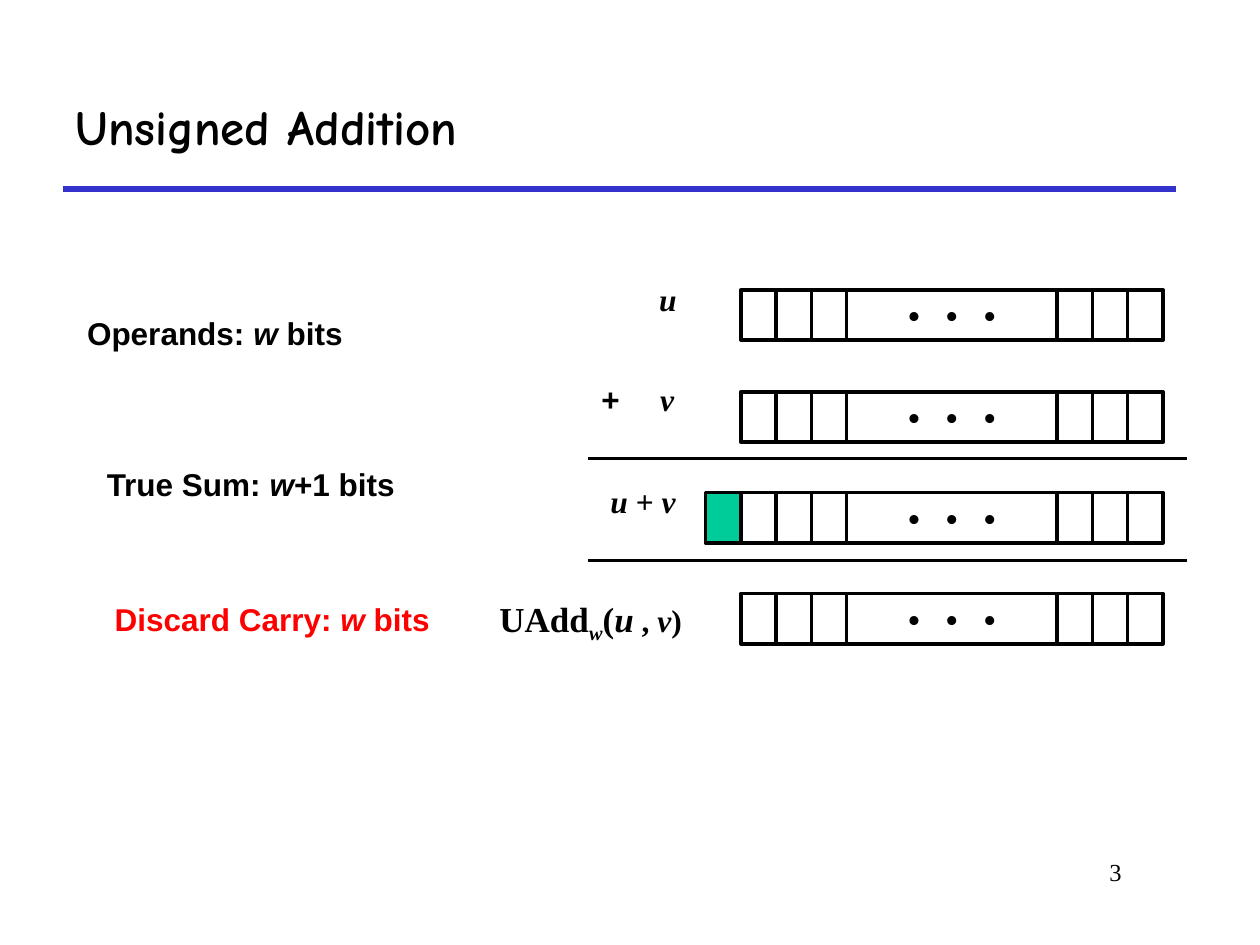
import pptx
import pptx.util
import pptx.dml.color
import pptx.enum.shapes
import pptx.enum.text
import pptx.oxml.ns
from lxml import etree

Inches = pptx.util.Inches
ALIGN = pptx.enum.text.PP_ALIGN
ANCHOR = pptx.enum.text.MSO_ANCHOR
COLORS = {
    "black": "000000",
    "white": "FFFFFF",
    "rule": "3333CC",
    "carry": "00CC99",
    "discard": "FF0000",
}
RGB = {name: pptx.dml.color.RGBColor.from_string(value) for name, value in COLORS.items()}

presentation = pptx.Presentation()
presentation.slide_width = Inches(10)
presentation.slide_height = Inches(7.5)
slide = presentation.slides.add_slide(presentation.slide_layouts[6])


def write_text(shape, runs, font, size, alignment, color="black", bold=True, wrap=False, anchor=ANCHOR.TOP):
    frame = shape.text_frame
    frame.word_wrap = wrap
    frame.vertical_anchor = anchor
    paragraph = frame.paragraphs[0]
    paragraph.alignment = alignment
    for text, changes in runs:
        run = paragraph.add_run()
        run.text = text
        values = {"name": font, "size": pptx.util.Pt(size), "bold": bold, "italic": False} | changes
        for attribute, value in values.items():
            setattr(run.font, attribute, value)
        run.font.color.rgb = RGB[color]
    return paragraph


def add_cell(left, top, width, color="white"):
    cell = slide.shapes.add_shape(
        pptx.enum.shapes.MSO_SHAPE.RECTANGLE, Inches(left), Inches(top), Inches(width), Inches(0.4)
    )
    cell.shadow.inherit = False
    cell.fill.solid()
    cell.fill.fore_color.rgb = RGB[color]
    cell.line.color.rgb = RGB["black"]
    cell.line.width = pptx.util.Pt(2)
    return cell


lines = [
    (0.5, 9.33, 1.5, "rule", 3),
    (4.67, 9.42, 3.64, "black", 2),
    (4.67, 9.42, 4.45, "black", 2),
]
for start, end, height, color, weight in lines:
    line = slide.shapes.add_connector(
        pptx.enum.shapes.MSO_CONNECTOR.STRAIGHT, Inches(start), Inches(height), Inches(end), Inches(height)
    )
    line.line.color.rgb = RGB[color]
    line.line.width = pptx.util.Pt(weight)
    etree.SubElement(line._element.spPr, pptx.oxml.ns.qn("a:effectLst"))

bit_width = 0.28
word_left = 5.88
low_bits_left = 8.39
middle_left = word_left + 3 * bit_width
row_tops = {"u": 2.3, "v": 3.11, "sum": 3.91, "result": 4.71}

for top in row_tops.values():
    for group_left in (word_left, low_bits_left):
        for bit in range(3):
            add_cell(group_left + bit * bit_width, top, bit_width)
    middle = add_cell(middle_left, top, low_bits_left - middle_left)
    write_text(middle, [("• • •", {})], "Courier New", 18, ALIGN.CENTER, anchor=ANCHOR.MIDDLE)
add_cell(word_left - bit_width, row_tops["sum"], bit_width, "carry")

italic = {"italic": True}
small = {"size": pptx.util.Pt(18)}
serif = {"font": "Times New Roman", "size": 18, "alignment": ALIGN.CENTER}
sans = {"font": "Arial", "size": 18, "alignment": ALIGN.CENTER}
labels = [
    (0.5, 0.5, 8.83, 1, [("Unsigned Addition", {})],
     {"font": "Comic Neue", "size": 28, "alignment": ALIGN.LEFT, "wrap": True, "anchor": ANCHOR.MIDDLE}),
    (7.58, 6.75, 1.42, 0.5, [("3", {})],
     {"font": "Times New Roman", "size": 14, "alignment": ALIGN.RIGHT, "bold": False, "wrap": True}),
    (5.13, 2.17, 0.34, 0.4, [("u", italic)], serif),
    (5.14, 2.97, 0.31, 0.4, [("v", italic)], serif),
    (4.67, 2.97, 0.35, 0.4, [("+", {})], serif | {"font": "Courier New"}),
    (4.74, 3.78, 0.72, 0.4, [("u ", italic), ("+ ", {}), ("v", italic)],
     serif | {"alignment": ALIGN.RIGHT}),
    (0.59, 2.44, 2.23, 0.4, [("Operands: ", {}), ("w", italic), (" bits", {})], sans),
    (0.67, 3.64, 2.64, 0.4, [("True Sum: ", {}), ("w", italic), ("+1 bits", {})], sans | {"wrap": True}),
    (0.67, 4.71, 2.98, 0.4, [("Discard Carry: ", {}), ("w", italic), (" bits", {})],
     sans | {"wrap": True, "color": "discard"}),
]
for left, top, width, height, runs, style in labels:
    label = slide.shapes.add_textbox(Inches(left), Inches(top), Inches(width), Inches(height))
    write_text(label, runs, **style)

result_runs = [
    ("UAdd", {}), ("w", italic), ("(", {}), ("u", italic),
    (" , ", small), ("v", italic | small), (")", small),
]
result_label = slide.shapes.add_textbox(Inches(3.86), Inches(4.69), Inches(1.65), Inches(0.48))
result_paragraph = write_text(result_label, result_runs, "Times New Roman", 20, ALIGN.RIGHT)
result_paragraph.runs[1].font._element.set("baseline", "-25000")

presentation.save("out.pptx")
